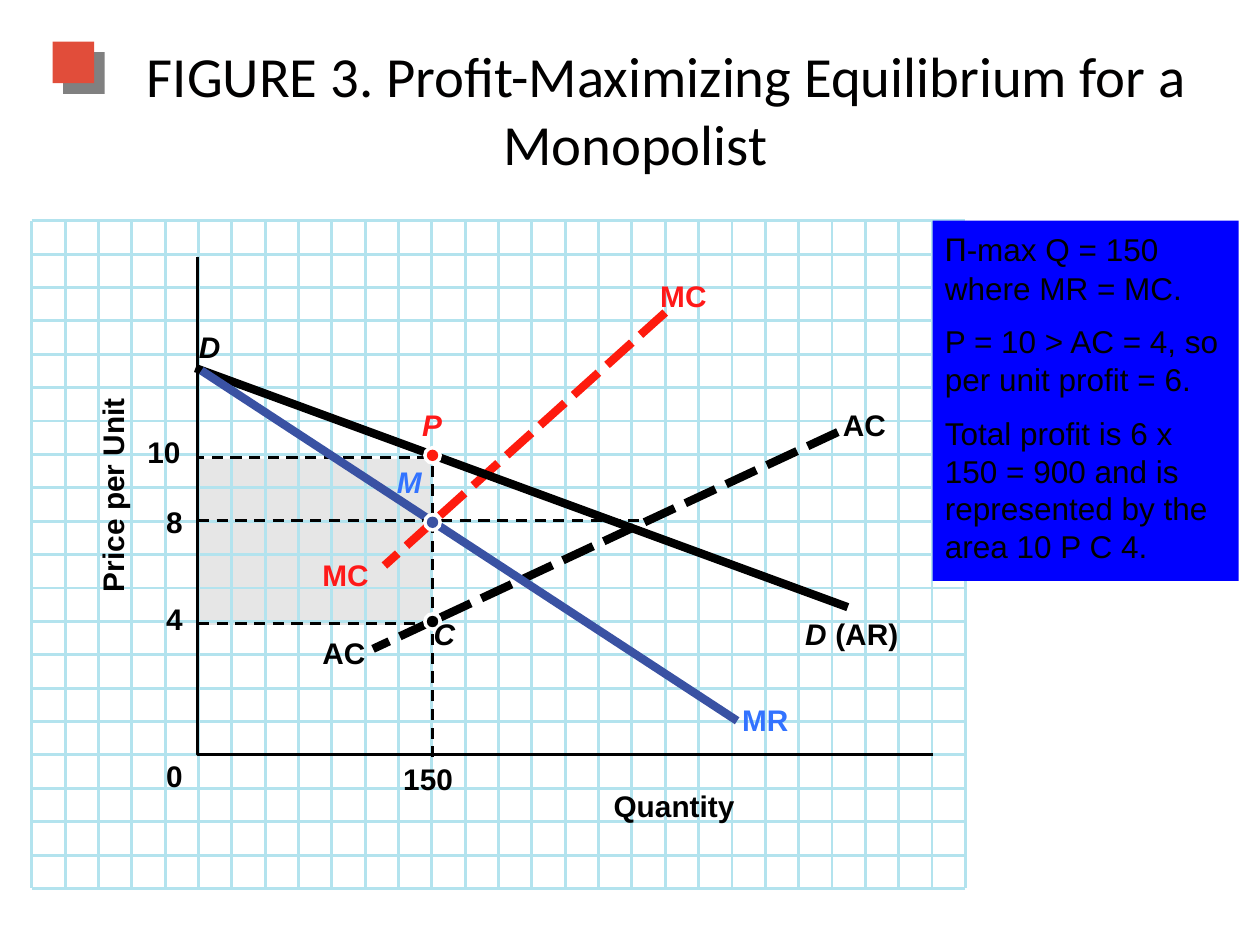
from lxml import etree
from pptx import Presentation
from pptx.dml.color import RGBColor
from pptx.enum.shapes import MSO_CONNECTOR as CONNECTOR, MSO_SHAPE as SHAPE
from pptx.enum.text import MSO_ANCHOR as ANCHOR, MSO_AUTO_SIZE as AUTO_SIZE, PP_ALIGN as ALIGN
from pptx.oxml.ns import qn
from pptx.util import Cm, Pt

BLACK, WHITE, RED, BLUE, GRID = "000000", "FFFFFF", "FE1B0E", "3A52A3", "B3E3EE"
LABEL_RED, LABEL_BLUE = "FF1919", "3373FF"
THIN, THICK = 1.63, 4.75
THIN_DASH, THICK_DASH = (390, 260), (400, 140)  # dash and gap, percent of line width
hex_color = RGBColor.from_string


def add_text(paragraph, text, size=17, color=BLACK, font="Arial", bold=False, italic=False):
    run = paragraph.add_run()
    run.text = text
    run.font.size, run.font.name = Pt(size), font
    run.font.bold, run.font.italic = bold, italic
    run.font.color.rgb = hex_color(color)


def add_line(x1, y1, x2, y2, color=BLACK, width=THIN, dash=None):
    line = slide.shapes.add_connector(CONNECTOR.STRAIGHT, Cm(x1), Cm(y1), Cm(x2), Cm(y2))
    line.line.color.rgb = hex_color(color)
    line.line.width = Pt(width)
    if dash:
        pattern = etree.SubElement(line.line._get_or_add_ln(), qn("a:custDash"))
        etree.SubElement(pattern, qn("a:ds"), d=str(dash[0] * 1000), sp=str(dash[1] * 1000))
    etree.SubElement(line._element.spPr, qn("a:effectLst"))


prs = Presentation()
prs.slide_width, prs.slide_height = Cm(25.4), Cm(19.05)
slide = prs.slides.add_slide(prs.slide_layouts[5])

# Title
title = slide.shapes.title
title.left, title.top, title.width, title.height = Cm(0.64), Cm(0.61), Cm(24.33), Cm(3.18)
title.text_frame.auto_size = AUTO_SIZE.NONE
title.text_frame.vertical_anchor = ANCHOR.MIDDLE
heading = title.text_frame.paragraphs[0]
heading.alignment = ALIGN.CENTER
heading._p.get_or_add_pPr().set("indent", str(Cm(1.27)))
add_text(heading, "FIGURE 3. Profit-Maximizing Equilibrium for a Monopolist",
         size=32.4, color="010000", font="Calibri")

# Title marker with its hard shadow, and the profit area
for x, y, width, height, color, has_shadow in [
    (1.06, 0.84, 0.84, 0.84, "E14D3A", True),
    (3.99, 9.25, 4.7, 3.35, "E6E6E6", False),
]:
    block = slide.shapes.add_shape(SHAPE.RECTANGLE, Cm(x), Cm(y), Cm(width), Cm(height))
    block.shadow.inherit = False
    block.fill.solid()
    block.fill.fore_color.rgb = hex_color(color)
    block.line.fill.background()
    if has_shadow:
        effects = block._element.spPr.find(qn("a:effectLst"))
        shadow = etree.SubElement(effects, qn("a:outerShdw"), blurRad="0",
                                  dist=str(Pt(8.5)), dir="2700000", algn="ctr", rotWithShape="0")
        etree.SubElement(shadow, qn("a:srgbClr"), val="808080")

# Graph paper
left, top, paper_width, paper_height, columns, rows = 0.64, 4.45, 18.82, 13.46, 28, 20
right, bottom = left + paper_width, top + paper_height
for row in range(rows + 1):
    y = top + row * paper_height / rows
    add_line(left, y, right, y, color=GRID)
for column in range(columns + 1):
    x = left + column * paper_width / columns
    add_line(x, top, x, bottom, color=GRID)

# Axes
pen = slide.shapes.build_freeform(Cm(3.99), Cm(5.18))
pen.add_line_segments([(Cm(3.99), Cm(15.21)), (Cm(18.8), Cm(15.21))], close=False)
axes = pen.convert_to_shape()
axes.shadow.inherit = False
axes.fill.background()
axes.line.color.rgb = hex_color(BLACK)
axes.line.width = Pt(THIN)

# Curves (MC, AC, D, MR) and guide lines
add_line(13.41, 6.3, 7.75, 11.4, color=RED, width=THICK, dash=THICK_DASH)
add_line(16.89, 8.71, 7.52, 13.08, width=THICK, dash=THICK_DASH)
add_line(3.99, 12.57, 8.71, 12.57, dash=THIN_DASH)
add_line(3.94, 7.42, 17.09, 12.24, width=THICK)
add_line(8.71, 15.27, 8.71, 9.22, dash=THIN_DASH)
add_line(8.64, 9.22, 3.99, 9.22, dash=THIN_DASH)
add_line(4.06, 7.47, 14.86, 14.53, color=BLUE, width=THICK)
add_line(3.99, 10.49, 13.18, 10.49, dash=THIN_DASH)

# Points C, P and M, each with a white halo
for center_y, point_color in [(12.53, BLACK), (9.18, RED), (10.53, BLUE)]:
    for size, color in [(0.38, WHITE), (0.23, point_color)]:
        dot = slide.shapes.add_shape(SHAPE.OVAL, Cm(8.72 - size / 2), Cm(center_y - size / 2),
                                     Cm(size), Cm(size))
        dot.shadow.inherit = False
        dot.fill.solid()
        dot.fill.fore_color.rgb = hex_color(color)
        dot.line.fill.background()

# Labels: text, left, top, width, colour, italic, rotation
for text, x, y, width, color, italic, rotation in [
    ("MC", 6.5, 11.23, 1.09, LABEL_RED, False, 0),
    ("MC", 13.31, 5.59, 1.09, LABEL_RED, False, 0),
    ("AC", 6.5, 12.8, 1.04, BLACK, False, 0),
    ("AC", 16.99, 8.2, 1.04, BLACK, False, 0),
    ("0", 3.35, 15.27, 0.51, BLACK, False, 0),
    ("4", 3.35, 12.12, 0.51, BLACK, False, 0),
    ("8", 3.35, 10.16, 0.51, BLACK, False, 0),
    ("10", 2.97, 8.74, 0.84, BLACK, False, 0),
    ("150", 8.13, 15.34, 1.17, BLACK, False, 0),
    ("Quantity", 12.37, 15.88, 2.59, BLACK, False, 0),
    ("Price per Unit", 0.23, 9.55, 4.06, BLACK, False, 270),
    ("C", 8.74, 12.42, 0.61, BLACK, True, 0),
    ("D", 16.23, 12.42, 0.61, BLACK, True, 0),
    ("(AR)", 16.84, 12.42, 1.42, BLACK, False, 0),
    ("D", 4.01, 6.63, 0.61, BLACK, True, 0),
    ("P", 8.51, 8.2, 0.56, LABEL_RED, True, 0),
    ("MR", 14.96, 14.15, 1.09, LABEL_BLUE, False, 0),
    ("M", 8, 9.35, 0.66, LABEL_BLUE, True, 0),
]:
    label = slide.shapes.add_textbox(Cm(x), Cm(y), Cm(width), Cm(0.71))
    label.rotation = rotation
    frame = label.text_frame
    frame.margin_left = frame.margin_right = frame.margin_top = frame.margin_bottom = 0
    frame.word_wrap = False
    add_text(frame.paragraphs[0], text, color=color, bold=True, italic=italic)

# Explanation panel
panel = slide.shapes.add_shape(SHAPE.RECTANGLE, Cm(18.8), Cm(4.45), Cm(6.17), Cm(7.26))
panel.shadow.inherit = False
panel.fill.solid()
panel.fill.fore_color.rgb = hex_color("0000FF")
panel.line.fill.background()
notes = panel.text_frame
notes.word_wrap = True
notes.vertical_anchor = ANCHOR.TOP
add_text(notes.paragraphs[0], "Π", size=20, font="Calibri")
for index, text in enumerate([
    "-max Q = 150 where MR = MC.",
    "P = 10 > AC = 4, so per unit profit = 6.",
    "Total profit is 6 x 150 = 900 and is represented by the area 10 P C 4.",
]):
    paragraph = notes.add_paragraph() if index else notes.paragraphs[0]
    paragraph.alignment = ALIGN.LEFT
    paragraph.space_before = Pt(9)
    add_text(paragraph, text, size=18)

prs.save("out.pptx")
